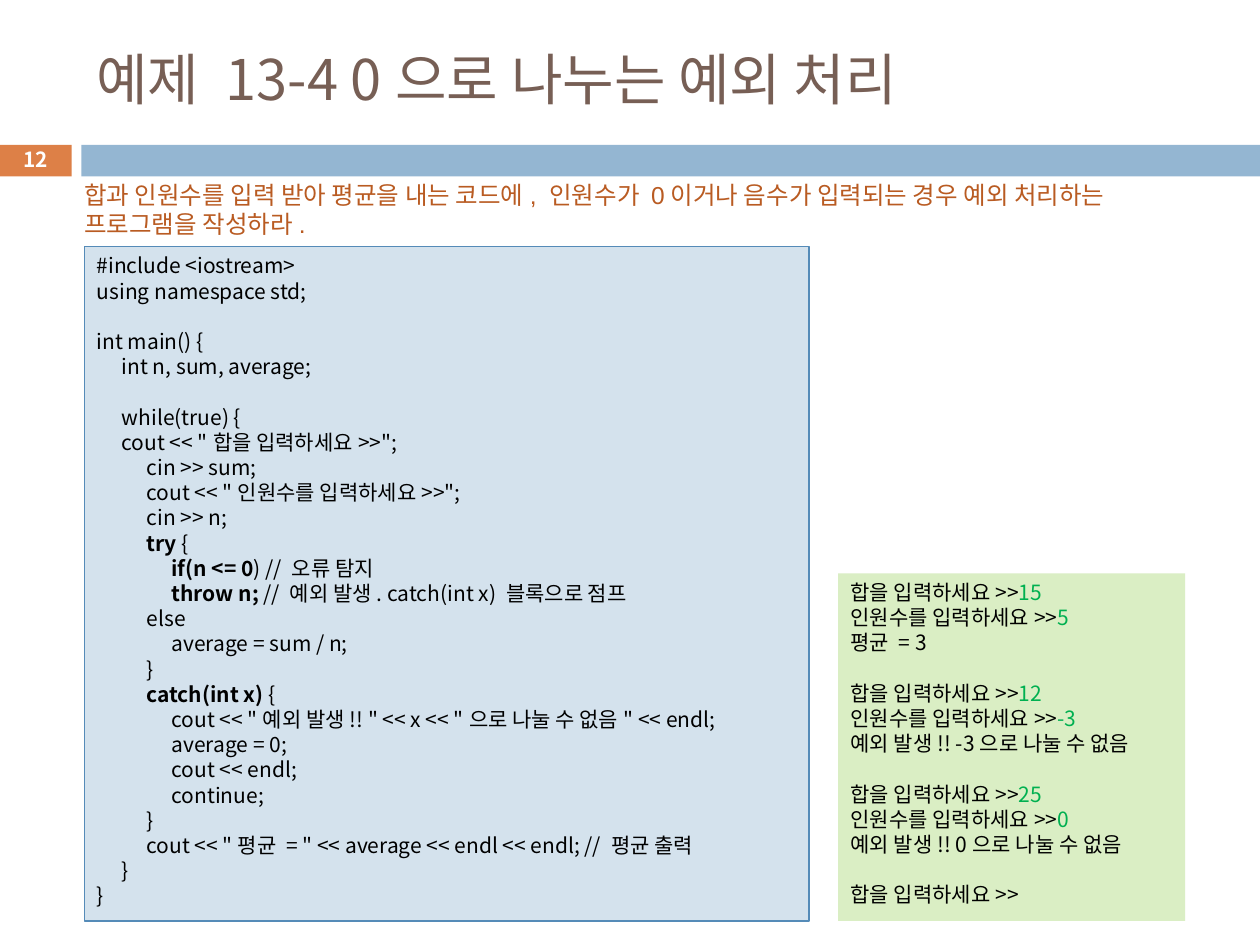
from lxml import etree
from pptx import Presentation
from pptx import util as u
from pptx.dml import color
from pptx.enum import shapes, text
from pptx.oxml import ns

FONT = "Noto Sans CJK KR"
TAB = 14.25  # width of one indent step
LINE = 14.4  # line pitch of the listings


def rgb(value):
    return color.RGBColor.from_string(value)


def add_span(para, words, size=12, ink="000000", bold=False, font=FONT):
    span = para.add_run()
    span.text = words
    span.font.size = u.Pt(size)
    span.font.bold = bold
    span.font.color.rgb = rgb(ink)
    span.font.name = font
    east = etree.SubElement(span.font._element, ns.qn("a:ea"))
    east.set("typeface", FONT)


class Builder:
    def __init__(self, page):
        self.page = page

    def bar(self, left, top, width, height, fill, line=None):
        box = self.page.shapes.add_shape(
            shapes.MSO_SHAPE.RECTANGLE, *map(u.Pt, (left, top, width, height)))
        box.shadow.inherit = False
        box.fill.solid()
        box.fill.fore_color.rgb = rgb(fill)
        if line:
            box.line.color.rgb = rgb(line)
            box.line.width = u.Pt(0.75)
        else:
            box.line.fill.background()
        return box

    def label(self, left, top, width, height, words, align="LEFT",
              anchor="MIDDLE", pitch=None, **style):
        box = self.page.shapes.add_textbox(*map(u.Pt, (left, top, width, height)))
        frame = box.text_frame
        frame.word_wrap = True
        frame.vertical_anchor = text.MSO_ANCHOR[anchor]
        para = frame.paragraphs[0]
        para.alignment = text.PP_ALIGN[align]
        if pitch:
            para.line_spacing = u.Pt(pitch)
        add_span(para, words, **style)

    def listing(self, left, top, width, height, blocks, fill, line=None, **accent):
        """Blocks of lines; every second piece of a line takes the accent."""
        frame = self.bar(left, top, width, height, fill, line).text_frame
        frame.word_wrap = True
        frame.vertical_anchor = text.MSO_ANCHOR.TOP
        para = None
        for block in blocks:
            for index, pieces in enumerate(block):
                gap = LINE if para is not None and index == 0 else 0
                para = frame.paragraphs[0] if para is None else frame.add_paragraph()
                para.alignment = text.PP_ALIGN.LEFT
                para.line_spacing = u.Pt(LINE)
                para.space_before = u.Pt(gap)
                self.tabs(para)
                pieces = [pieces] if isinstance(pieces, str) else pieces
                for number, words in enumerate(pieces):
                    add_span(para, words, **(accent if number % 2 else {}))

    def tabs(self, para):
        stops = etree.SubElement(para._p.get_or_add_pPr(), ns.qn("a:tabLst"))
        for step in range(1, 4):
            etree.SubElement(stops, ns.qn("a:tab"),
                             pos=str(u.Pt(step * TAB)), algn="l")


CODE = [
    ["#include <iostream>",
     "using namespace std;"],
    ["int main() {",
     "\tint n, sum, average;"],
    ["\twhile(true) {",
     '\tcout << "합을 입력하세요>>";',
     "\t\tcin >> sum;",
     '\t\tcout << "인원수를 입력하세요>>";',
     "\t\tcin >> n;",
     ("\t\t", "try", " {"),
     ("\t\t\t", "if(n <= 0", ") // 오류 탐지"),
     ("\t\t\t", "throw n; ", "// 예외 발생. catch(int x) 블록으로 점프"),
     "\t\telse",
     "\t\t\taverage = sum / n;",
     "\t\t}",
     ("\t\t", "catch(int x) ", "{"),
     '\t\t\tcout << "예외 발생!! " << x << "으로 나눌 수 없음" << endl;',
     "\t\t\taverage = 0;",
     "\t\t\tcout << endl;",
     "\t\t\tcontinue;",
     "\t\t}",
     '\t\tcout << "평균 = " << average << endl << endl; // 평균 출력',
     "\t}",
     "}"],
]

ASK_SUM, ASK_COUNT = "합을 입력하세요>>", "인원수를 입력하세요>>"
RUNS = [("15", "5", "평균 = 3"),
        ("12", "-3", "예외 발생!! -3으로 나눌 수 없음"),
        ("25", "0", "예외 발생!! 0으로 나눌 수 없음")]
OUTPUT = [[(ASK_SUM, total), (ASK_COUNT, count), result]
          for total, count, result in RUNS] + [[ASK_SUM]]


def main():
    deck = Presentation()
    deck.slide_width, deck.slide_height = u.Pt(720), u.Pt(540)
    build = Builder(deck.slides.add_slide(deck.slide_layouts[6]))

    # Header band and page number
    build.bar(-0.5, 82.8, 41.5, 18, "DD8047")
    build.bar(46.5, 82.8, 673.5, 18, "94B6D2")
    build.label(48, 18, 642, 53.5, "예제 13-4 0으로 나누는 예외 처리",
                size=32, ink="775F55")
    build.label(-0.5, 81.5, 41.5, 19.5, "12", align="CENTER",
                size=11.9, ink="FFFFFF", bold=True)

    # Code and its console output
    build.listing(48.25, 141, 414, 385.25, CODE, "D4E2ED", "558BB8", bold=True)
    build.listing(479, 327.6, 198.25, 198.65, OUTPUT, "DAEEC4", ink="00B050")

    # Task
    build.label(41, 100, 635, 41,
                "합과 인원수를 입력 받아 평균을 내는 코드에, 인원수가 0이거나 "
                "음수가 입력되는 경우 예외 처리하는 프로그램을 작성하라.",
                anchor="TOP", pitch=16.4, size=14, ink="B95B22", font="Arial")

    deck.save("out.pptx")


if __name__ == "__main__":
    main()
